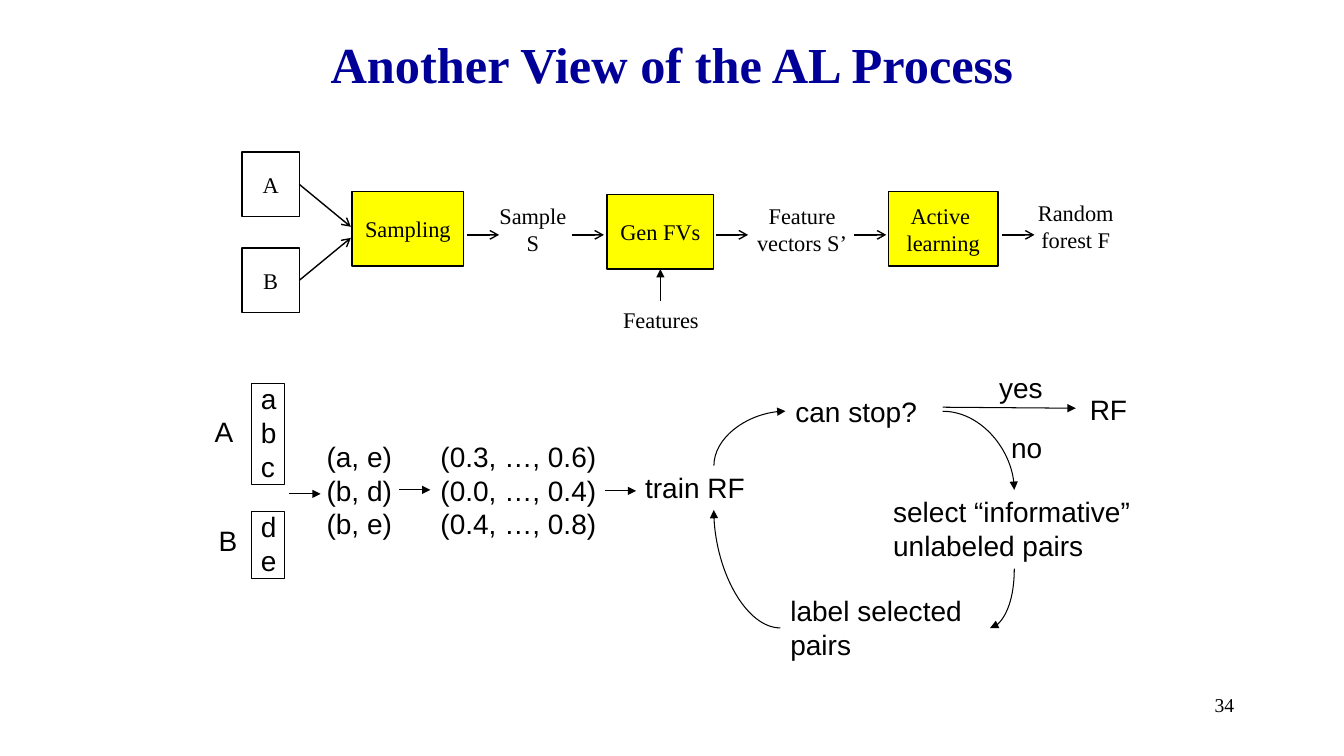
from dataclasses import dataclass

from lxml import etree
from pptx import Presentation
from pptx.dml.color import RGBColor
from pptx.enum.shapes import MSO_CONNECTOR, MSO_SHAPE
from pptx.enum.text import MSO_ANCHOR, MSO_AUTO_SIZE, PP_ALIGN
from pptx.oxml.ns import qn
from pptx.util import Inches, Pt

LEFT, MID, RIGHT = PP_ALIGN.LEFT, PP_ALIGN.CENTER, PP_ALIGN.RIGHT
MIDDLE = MSO_ANCHOR.MIDDLE
GROW, FIXED = MSO_AUTO_SIZE.SHAPE_TO_FIT_TEXT, MSO_AUTO_SIZE.NONE
RECT = MSO_SHAPE.RECTANGLE
STRAIGHT, CURVE = MSO_CONNECTOR.STRAIGHT, MSO_CONNECTOR.CURVE
BOTTOM, EAST = 2, 3


@dataclass(frozen=True)
class Theme:
    """Hold the colours, fonts, type sizes and grid step."""
    ink: RGBColor = RGBColor(0, 0, 0)
    navy: RGBColor = RGBColor(0, 0, 0x99)
    gold: RGBColor = RGBColor(0xFF, 0xFF, 0)
    serif: str = "Times New Roman"
    sans: str = "Arial"
    head: int = 36
    body: int = 20
    flow: int = 16
    foot: int = 14
    thin: float = 0.75
    bold: float = 1
    step: float = 0.1


class Board:
    """Draw styled parts on a slide, on a grid of tenths of an inch."""

    def __init__(self, deck, theme):
        """Open a title-only slide."""
        self.theme = theme
        self.slide = deck.slides.add_slide(deck.slide_layouts[5])
        self.shapes = self.slide.shapes

    def grid(self, *cells):
        """Turn grid counts into lengths."""
        return [Inches(cell * self.theme.step) for cell in cells]

    def words(self, shape, text, size, font, align=LEFT, color=None, bold=False):
        """Add each line of text as a paragraph of one run."""
        frame = shape.text_frame
        for i, line in enumerate(text.split("\n")):
            para = frame.add_paragraph() if i else frame.paragraphs[0]
            para.alignment = align
            run = para.add_run()
            run.text = line
            run.font.size, run.font.name = Pt(size), font
            run.font.bold = bold
            run.font.color.rgb = color or self.theme.ink

    def title(self, text, area):
        """Place and fill the title."""
        shape = self.shapes.title
        shape.left, shape.top, shape.width, shape.height = self.grid(*area)
        frame = shape.text_frame
        frame.auto_size, frame.vertical_anchor = FIXED, MIDDLE
        self.words(shape, text, self.theme.head, self.theme.serif, MID,
                   self.theme.navy, True)

    def label(self, text, area, size, font, align=LEFT, wrap=True, fit=GROW):
        """Add a text box."""
        shape = self.shapes.add_textbox(*self.grid(*area))
        frame = shape.text_frame
        frame.word_wrap, frame.auto_size = wrap, fit
        self.words(shape, text, size, font, align)

    def note(self, text, area, wrap=True):
        """Add a label of the worked example."""
        self.label(text, area, self.theme.body, self.theme.sans, wrap=wrap)

    def term(self, text, area, wrap=True):
        """Add a centred label of the flow."""
        self.label(text, area, self.theme.flow, self.theme.serif, MID, wrap)

    def box(self, area, weight, text="", fill=None):
        """Add an outlined rectangle."""
        shape = self.shapes.add_shape(RECT, *self.grid(*area))
        shape.shadow.inherit = False
        if fill:
            shape.fill.solid()
            shape.fill.fore_color.rgb = fill
        else:
            shape.fill.background()
        shape.line.color.rgb, shape.line.width = self.theme.ink, Pt(weight)
        if text:
            shape.text_frame.word_wrap = True
            shape.text_frame.vertical_anchor = MIDDLE
            self.words(shape, text, self.theme.flow, self.theme.serif, MID)
        return shape

    def arrow(self, ends, weight, tip="triangle", kind=STRAIGHT):
        """Add a line with an arrowhead at its end."""
        line = self.shapes.add_connector(kind, *self.grid(*ends))
        line.line.color.rgb, line.line.width = self.theme.ink, Pt(weight)
        props = line.element.spPr
        etree.SubElement(props.find(qn("a:ln")), qn("a:tailEnd"), type=tip)
        etree.SubElement(props, qn("a:effectLst"))
        return line

    def bend(self, ends, turn=False):
        """Add a quarter curve that leaves level, or upright if turned."""
        x1, y1, x2, y2 = ends
        if turn:
            cx, cy, dx, dy = (x1 + x2) / 2, (y1 + y2) / 2, (x2 - x1) / 2, (y2 - y1) / 2
            ends = cx - dy, cy + dx, cx + dy, cy - dx
        line = self.arrow(ends, self.theme.thin, kind=CURVE)
        props = line.element.spPr
        props.find(qn("a:prstGeom")).set("prst", "curvedConnector2")
        if turn:
            props.find(qn("a:xfrm")).set("rot", "5400000")


def draw_flow(board):
    """Draw the upper flow of steps."""
    theme = board.theme
    for name, top, hit in (("A", 15.1, 22.5), ("B", 24.6, 23.6)):
        table = board.box((24, top, 5.7, 6.4), theme.bold, name)
        line = board.arrow((29.7, top + 3.2, 34.8, hit), theme.bold, "arrow")
        line.begin_connect(table, EAST)
    board.box((34.9, 19, 11.1, 7.4), theme.bold, "Sampling", theme.gold)
    board.box((88.1, 19, 10.9, 7.4), theme.bold, "Active \nlearning", theme.gold)
    gen = board.box((60.2, 19.3, 10.6, 7.4), theme.bold, "Gen FVs", theme.gold)
    board.term("Sample\nS", (46.7, 19.6, 12.3, 6.4))
    board.term("Feature\nvectors S’", (74, 19.6, 11.1, 6.4), False)
    board.term("Random\nforest F", (101.9, 19.3, 9.6, 6.4), False)
    board.term("Features", (59.4, 29.9, 12.3, 3.7))
    for x in (46.3, 56.7, 71, 84.7, 99.4):
        board.arrow((x, 23.3, x + 3.2, 23.3), theme.bold, "arrow")
    board.arrow((65.5, 29.9, 65.5, 26.7), theme.thin).end_connect(gen, BOTTOM)


def draw_loop(board):
    """Draw the worked example and its learning loop."""
    thin = board.theme.thin
    for text, top, tall in (("a\nb\nc", 37.4, 11.1), ("d\ne", 50.1, 7.7)):
        board.note(text, (24.9, top, 3.6, tall), False)
        board.box((24.9, top + 0.6, 3.3, tall - 1), thin)
    board.note("A", (20.3, 40.6, 3.9, 4.4), False)
    board.note("B", (20.7, 51.4, 3.9, 4.4), False)
    for text, area in (
        ("(a, e)\n(b, d)\n(b, e)", (31.4, 43.1, 8.5, 11.1)),
        ("(0.3, …, 0.6)\n(0.0, …, 0.4)\n(0.4, …, 0.8)", (42.7, 43.1, 18.1, 11.1)),
        ("train RF", (63, 46.2, 15.6, 4.4)),
        ("can stop?", (77.9, 38.6, 15.6, 4.4)),
        ("select “informative”\nunlabeled pairs", (87.6, 48.6, 26.2, 7.7)),
        ("label selected pairs", (77.4, 58.4, 20.8, 7.7)),
        ("no", (99.3, 42.2, 15.6, 4.4)),
        ("yes", (98.1, 36.3, 7.1, 4.4)),
        ("RF", (107.1, 38.4, 7.1, 4.4)),
    ):
        board.note(text, area)
    for x, y in ((28.7, 49), (39.6, 48.6), (60, 48.7)):
        board.arrow((x, y, x + 3.1, y), thin)
    board.arrow((93.5, 40.4, 106.7, 40.5), thin)
    board.bend((70.8, 46.2, 77.9, 40.8), True)
    board.bend((93.5, 40.8, 100.6, 48.6))
    board.bend((100.6, 56.4, 98.2, 62.3), True)
    board.bend((77.4, 62.3, 70.8, 50.6))


def main():
    """Build and save the slide."""
    deck = Presentation()
    deck.slide_width, deck.slide_height = Inches(13.33), Inches(7.5)
    theme = Theme()
    board = Board(deck, theme)
    board.title("Another View of the AL Process", (10, 2.5, 113.3, 7.5))
    board.label("34", (95.6, 68.3, 27.8, 5), theme.foot, theme.serif, RIGHT, fit=FIXED)
    draw_flow(board)
    draw_loop(board)
    deck.save("out.pptx")


if __name__ == "__main__":
    main()
